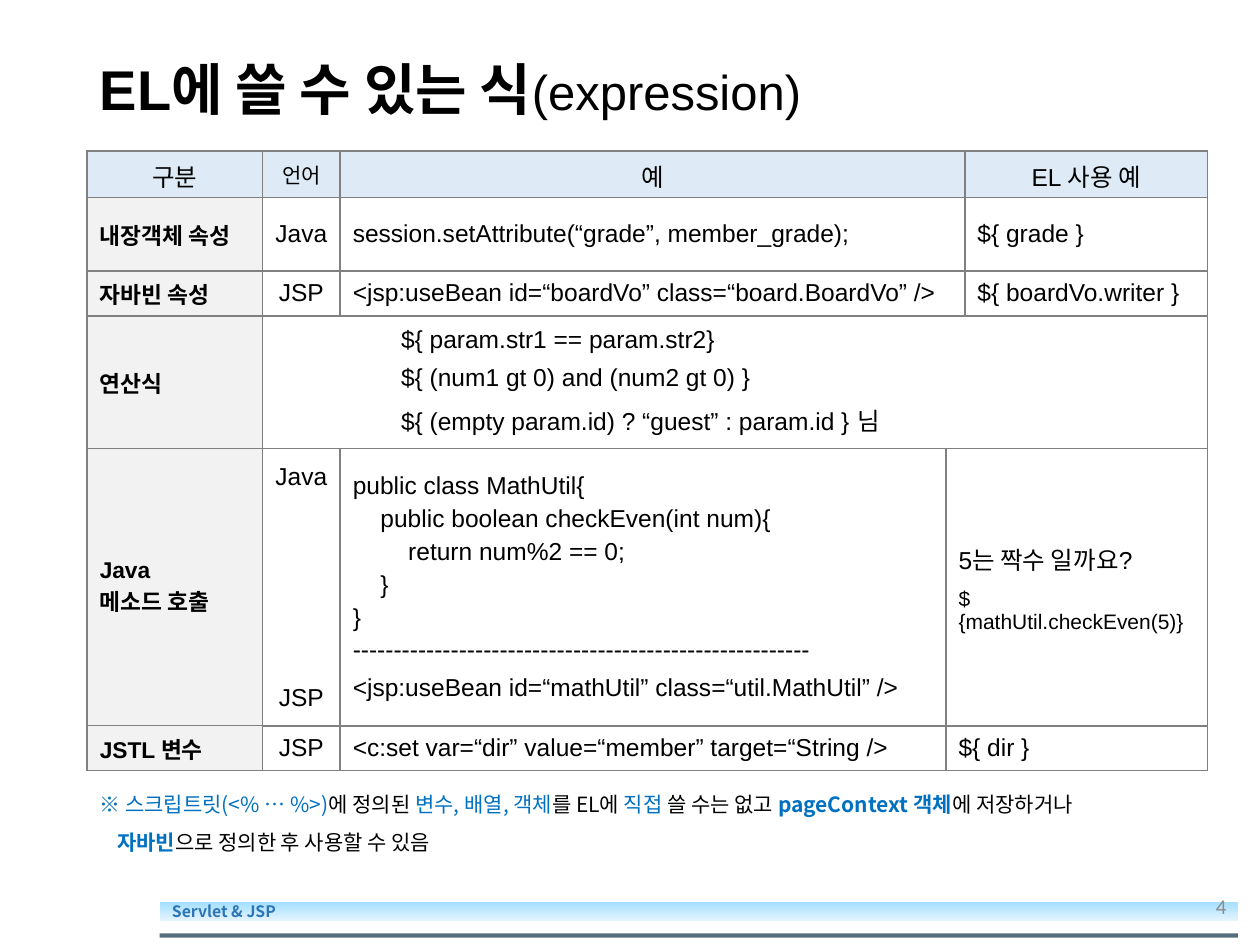
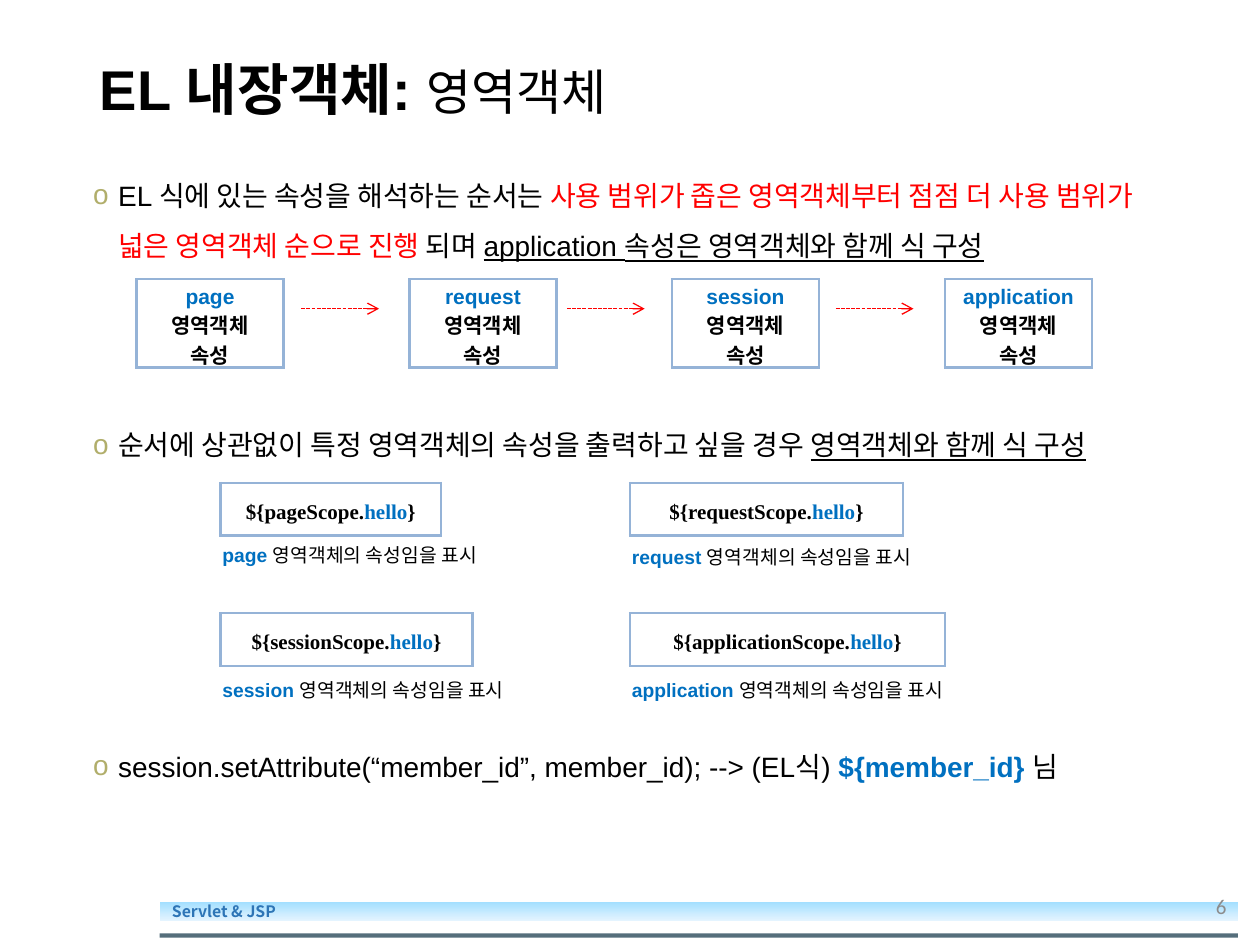
from lxml import etree
from pptx import Presentation
from pptx import util as u
from pptx.dml.color import RGBColor
from pptx.enum import shapes, text
from pptx.oxml import ns

COLS, ROWS = 120, 90
WIDTH, HEIGHT = u.Inches(10), u.Inches(7.5)
BLACK, BLUE, RED = "000000", "0070C0", "FF0000"
HEAD_FILL, LABEL_FILL = "DEEBF7", "F2F2F2"
KOREAN = "Noto Sans CJK KR"
LEFT, CENTER, RIGHT = text.PP_ALIGN.LEFT, text.PP_ALIGN.CENTER, text.PP_ALIGN.RIGHT
MIDDLE, TOP = text.MSO_ANCHOR.MIDDLE, text.MSO_ANCHOR.TOP


def col(count):
    """Return the length of a number of grid columns."""
    return round(WIDTH * count / COLS)


def row(count):
    """Return the length of a number of grid rows."""
    return round(HEIGHT * count / ROWS)


def area(left, top, width, height):
    """Return a grid area as left, top, width and height."""
    return col(left), row(top), col(width), row(height)


def color(code):
    """Turn a hex string into a colour."""
    return RGBColor.from_string(code)


def child(parent, tag, **attributes):
    """Append a drawing element to an XML parent."""
    return etree.SubElement(parent, ns.qn(tag), attributes)


def add_span(para, words, size=14, ink=BLACK, bold=False, font="Arial", underline=False):
    """Add one formatted run."""
    span = para.add_run()
    span.text = words
    span.font.size, span.font.bold, span.font.name = u.Pt(size), bold, font
    span.font.underline = underline
    span.font.color.rgb = color(ink)
    child(span.font._element, "a:ea", typeface=KOREAN)


def add_para(frame, runs, align=LEFT, before=0, after=0, spacing=1, indent=0, hanging=0, **style):
    """Add a paragraph; each run is a text with its own style changes."""
    first = frame.paragraphs[0]
    para = frame.add_paragraph() if first.runs else first
    para.alignment, para.line_spacing = align, spacing
    para.space_before, para.space_after = u.Pt(before), u.Pt(after)
    props = para._p.get_or_add_pPr()
    props.set("marL", str(u.Inches(indent)))
    props.set("indent", str(-u.Inches(hanging)))
    for words, changes in runs:
        add_span(para, words, **{**style, **changes})
    return para


def add_bullet(frame, runs, before):
    """Add a body paragraph with a round bullet."""
    para = add_para(frame, runs, before=before, after=3, spacing=1.5,
                    indent=0.59, hanging=0.2, size=16)
    props = para._p.get_or_add_pPr()
    child(child(props, "a:buClr"), "a:srgbClr", val="B1AE6B")
    child(props, "a:buFont", typeface="Arial")
    child(props, "a:buChar", char="o")


def add_textbox(page, place):
    """Add a wrapping text box and return its frame."""
    frame = page.shapes.add_textbox(*place).text_frame
    frame.word_wrap = True
    return frame


def add_block(page, place, fill=None):
    """Add a plain rectangle without outline or shadow."""
    block = page.shapes.add_shape(shapes.MSO_SHAPE.RECTANGLE, *place)
    block.shadow.inherit = False
    block.line.fill.background()
    if fill:
        block.fill.solid()
        block.fill.fore_color.rgb = color(fill)
    frame = block.text_frame
    frame.word_wrap, frame.vertical_anchor = True, MIDDLE
    frame.margin_top = frame.margin_bottom = 0
    return block


def add_footer(page, number):
    """Add the dark rule, the gradient band and the page number."""
    rule = add_block(page, area(15.2, 88.9, 102.7, 0.4), "0D3144")
    tint = rule.fill._xPr.find(".//" + ns.qn("a:srgbClr"))
    child(tint, "a:alpha", val="70000")
    band = add_block(page, area(15.2, 85.9, 102.7, 1.8))
    band.fill.gradient()
    band.fill.gradient_angle = 270
    for stop, code in zip(band.fill.gradient_stops, ("A3DFFF", "E4F4FF")):
        stop.color.rgb = color(code)
    add_para(band.text_frame, [("Servlet & JSP", {})],
             size=9, ink="2E75B6", bold=True, font=KOREAN)
    frame = add_textbox(page, area(112.1, 83.9, 5.9, 4.8))
    frame.vertical_anchor = MIDDLE
    add_para(frame, [(str(number), {})], RIGHT, size=12, ink="8C8C8C", font="Calibri")


def add_page(deck, strong, light, number):
    """Add a title-only slide with its title and footer."""
    page = deck.slides.add_slide(deck.slide_layouts[5])
    title = page.shapes.title
    title.left, title.top, title.width, title.height = area(8.3, 4.8, 103.4, 7.9)
    title.text_frame.vertical_anchor = MIDDLE
    title.text_frame.word_wrap = True
    add_para(title.text_frame, [(strong, {"size": 32, "bold": True}), (light, {"size": 28})],
             spacing=0.9)
    add_footer(page, number)
    return page


def add_grid(page, left, top, widths, heights, ink, weight):
    """Add a table with equal borders on all of its cells."""
    place = area(left, top, sum(widths), sum(heights))
    table = page.shapes.add_table(len(heights), len(widths), *place).table
    table.first_row = table.horz_banding = False
    for column, width in zip(table.columns, widths):
        column.width = col(width)
    for line, height in zip(table.rows, heights):
        line.height = row(height)
    for cell in table.iter_cells():
        props = cell._tc.get_or_add_tcPr()
        for side in ("a:lnL", "a:lnR", "a:lnT", "a:lnB"):
            edge = child(props, side, w=str(u.Pt(weight)))
            child(child(edge, "a:solidFill"), "a:srgbClr", val=ink)
        cell.fill.background()
    return table


def add_cell(cell, *lines, fill=None, anchor=MIDDLE, **style):
    """Write plain lines in a cell, each a text or a text with changes."""
    cell.vertical_anchor = anchor
    if fill:
        cell.fill.solid()
        cell.fill.fore_color.rgb = color(fill)
    for line in lines:
        words, changes = (line, {}) if isinstance(line, str) else line
        add_para(cell.text_frame, [(words, {})], **{**style, **changes})


def add_row(table, index, label, language, example, usage, last=3):
    """Fill one row that holds a label, a language, an example and its use."""
    add_cell(table.cell(index, 0), *label, fill=LABEL_FILL, size=13, bold=True)
    add_cell(table.cell(index, 1), *language, align=CENTER, after=6)
    add_cell(table.cell(index, 2), *example, after=6)
    add_cell(table.cell(index, last), *usage, after=6)


def add_expression_table(page):
    """Add the table of expression kinds with its closing JSTL row."""
    label, language, example, gap, usage = widths = (16.7, 7.4, 57.7, 1.8, 23.1)
    table = add_grid(page, 8.3, 14.4, widths, (4.4, 7, 4.3, 12.6, 26.5), "808080", 1)
    for index in range(3):
        table.cell(index, 2).merge(table.cell(index, 3))
    table.cell(3, 1).merge(table.cell(3, 4))
    table.cell(4, 3).merge(table.cell(4, 4))
    heads = {0: "구분", 1: ("언어", {"size": 12}), 2: "예", 4: "EL 사용 예"}
    for index, head in heads.items():
        add_cell(table.cell(0, index), head, fill=HEAD_FILL, align=CENTER, after=6)
    add_row(table, 1, ["내장객체 속성"], ["Java"],
            ["session.setAttribute(“grade”, member_grade);"], ["${ grade }"], 4)
    add_row(table, 2, ["자바빈 속성"], ["JSP"],
            ["<jsp:useBean id=“boardVo” class=“board.BoardVo” />"], ["${ boardVo.writer }"], 4)
    add_cell(table.cell(3, 0), "연산식", fill=LABEL_FILL, size=13, bold=True)
    add_cell(table.cell(3, 1), "${ param.str1 == param.str2}",
             "${ (num1 gt 0) and (num2 gt 0) }",
             "${ (empty param.id) ? “guest” : param.id } 님", after=6, indent=1)
    code = [("public class MathUtil{", 0), ("public boolean checkEven(int num){", 1),
            ("return num%2 == 0;", 2), ("}", 1), ("}", 0)]
    method = [(words, {"indent": 0.22 * depth, "after": 3}) for words, depth in code]
    add_row(table, 4, ["Java", "메소드 호출"], ["Java", ("JSP", {"before": 105})],
            method + ["-" * 56, "<jsp:useBean id=“mathUtil” class=“util.MathUtil” />"],
            ["5는 짝수 일까요?", ("${mathUtil.checkEven(5)}", {"size": 12})])
    closing = add_grid(page, 8.3, 69.1, (label, language, example, gap + usage), (4.3,),
                       "808080", 1)
    add_row(closing, 0, ["JSTL 변수"], ["JSP"],
            ["<c:set var=“dir” value=“member” target=“String />"], ["${ dir }"])


def add_footnote(page):
    """Add the remark under the expression table."""
    frame = add_textbox(page, area(8.3, 73.6, 106.7, 8))
    blue, strong = {"ink": BLUE}, {"ink": BLUE, "bold": True}
    style = {"size": 12, "font": KOREAN, "spacing": 1.5}
    add_para(frame, [("※ 스크립트릿(<% … %>)", blue), ("에 정의된", {}),
                     (" 변수, 배열, 객체", blue), ("를 EL에 ", {}), ("직접 ", blue),
                     ("쓸 수는 없고 ", {}), ("pageContext 객체", strong),
                     ("에 저장하거나", {})], **style)
    add_para(frame, [("자바빈", strong), ("으로 정의한 후 사용할 수 있음", {})],
             indent=0.14, **style)


def add_body(page):
    """Add the three bulleted statements."""
    frame = add_textbox(page, area(3, 14.8, 111.6, 69.1))
    under = {"underline": True}
    add_bullet(frame, [
        ("EL 식에 있는 속성을 해석하는 순서는 ", {}),
        ("사용 범위가 좁은 영역객체부터 점점 더 사용 범위가 넓은 영역객체 순으로 진행 ", {"ink": RED}),
        ("되며 ", {}), ("application 속성은 영역객체와 함께 식 구성", under)], 3.2)
    add_bullet(frame, [("순서에 상관없이 특정 영역객체의 속성을 출력하고 싶을 경우 ", {}),
                       ("영역객체와 함께 식 구성", under)], 82)
    add_bullet(frame, [("session.setAttribute(“member_id”, member_id); --> (EL식) ", {}),
                       ("${member_id} ", {"ink": BLUE, "bold": True}), ("님", {})], 152)


def add_scope(page, name, left):
    """Add the box of one scope in the search order."""
    table = add_grid(page, left, 26.6, (14,), (8.4,), "95B3D7", 1.5)
    add_cell(table.cell(0, 0), (name, {"ink": BLUE}), "영역객체", "속성",
             anchor=TOP, align=CENTER, size=12, bold=True)


def add_arrow(page, left):
    """Add a dashed red arrow between two scopes."""
    level = row(29.4)
    arrow = page.shapes.add_connector(shapes.MSO_CONNECTOR.STRAIGHT,
                                      col(left), level, col(left + 7.4), level)
    arrow.line.color.rgb = color(RED)
    arrow.line.width = u.Pt(0.75)
    props = arrow._element.spPr
    line = props.find(ns.qn("a:ln"))
    child(line, "a:prstDash", val="sysDash")
    child(line, "a:tailEnd", type="arrow")
    child(props, "a:effectLst")


def add_lookup(page, name, left, top, width, label_top, label_width, label_height):
    """Add a scoped expression with the label beneath it."""
    table = add_grid(page, left, top, (width,), (5,), "95B3D7", 1.5)
    add_para(table.cell(0, 0).text_frame,
             [("${" + name + "Scope.", {}), ("hello", {"ink": BLUE}), ("}", {})],
             CENTER, spacing=1.5, size=12, bold=True, font="Times New Roman")
    label = add_block(page, area(left - 1, label_top, label_width, label_height), "FFFFFF")
    add_para(label.text_frame, [(name + " ", {"ink": BLUE, "bold": True}),
                                ("영역객체의 속성임을 표시", {})], size=11)


def main():
    """Build both slides and save the deck."""
    deck = Presentation()
    deck.slide_width, deck.slide_height = WIDTH, HEIGHT

    page = add_page(deck, "EL에 쓸 수 있는 식", "(expression)", 4)
    add_expression_table(page)
    add_footnote(page)

    page = add_page(deck, "EL 내장객체: ", "영역객체", 6)
    add_body(page)
    for name, left in (("page", 13), ("request", 39), ("session", 64), ("application", 90)):
        add_scope(page, name, left)
    for left in (28.7, 54, 79.6):
        add_arrow(page, left)
    add_lookup(page, "page", 21, 46, 21, 51.8, 29.4, 2)
    add_lookup(page, "request", 60, 46, 26, 51.8, 32.2, 2.4)
    add_lookup(page, "session", 21, 58.4, 24, 64.2, 31.2, 3)
    add_lookup(page, "application", 60, 58.4, 30, 64.2, 34.9, 3)
    deck.save("out.pptx")


if __name__ == "__main__":
    main()
